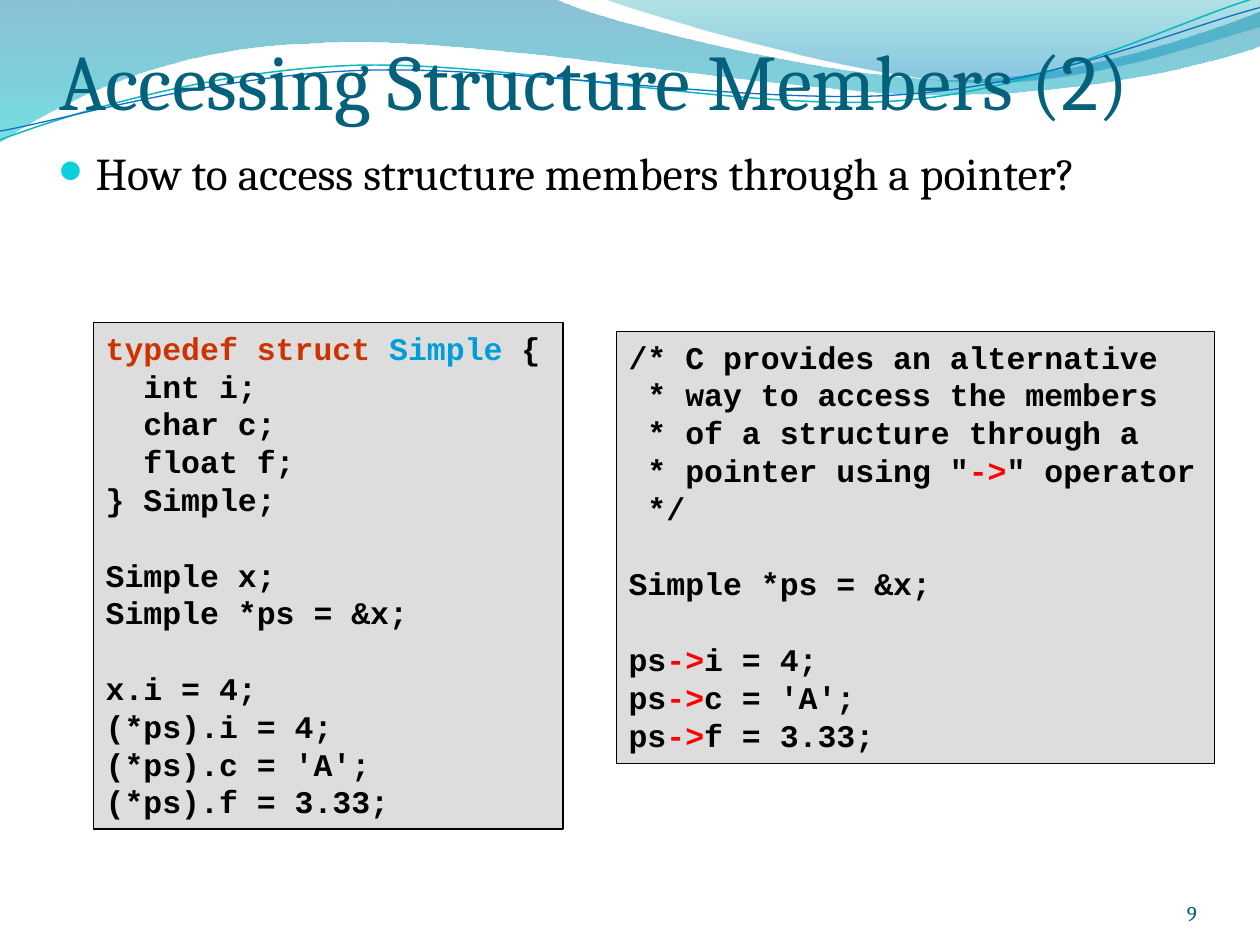
from dataclasses import dataclass
from math import cos, radians, sin

from lxml.etree import SubElement
from pptx import Presentation
from pptx.dml.color import RGBColor
from pptx.enum.shapes import MSO_SHAPE
from pptx.enum.text import MSO_ANCHOR, PP_ALIGN
from pptx.oxml.ns import qn
from pptx.util import Inches, Pt

CELL = Inches(0.1)  # the page is a grid of 100 columns by 75 rows
COLUMNS, ROWS = 100, 75
CODE_SIZE, CODE_LEADING = 18, 21.6
THREAD_TILT = -2.7

COLOURS = {
    "title": "04617B", "number": "045D75", "bullet": "0BD0D9",
    "text": "000000", "panel": "DDDDDD",
    "keyword": "CC3300", "type": "009DD9", "arrow": "FF0000",
    "deep": "0074A1", "cyan": "00C6CF", "teal": "00A1A9", "blue": "008BBF",
    "thread_teal": "0AB8BF", "thread_blue": "0F6FC6",
}


@dataclass
class Box:
    left: float
    top: float
    width: float
    height: float

    def emu(self) -> list[int]:
        return [cells(v) for v in (self.left, self.top, self.width, self.height)]


@dataclass
class Stop:
    colour: str
    position: float
    opacity: int


@dataclass
class Wave:
    """A path: two numbers make a straight step, six make a Bézier curve."""
    start: tuple
    steps: list
    stops: tuple = ()
    line: str = ""
    weight: float = 0
    centre: tuple = (0, 0)
    tilt: float = 0


@dataclass
class CodeLine:
    spans: list  # pairs of text and colour name
    depth: int = 0  # indent in characters
    gap: bool = False  # one free line above


def cells(count: float) -> int:
    return round(count * CELL)


def colour(name: str) -> RGBColor:
    return RGBColor.from_string(COLOURS[name])


def level(point: tuple, wave: Wave) -> tuple:
    """The point as it lies before the wave is tilted, in EMU."""
    angle = radians(-wave.tilt)
    x, y = (value - middle for value, middle in zip(point, wave.centre))
    return (cells(wave.centre[0] + x * cos(angle) - y * sin(angle)),
            cells(wave.centre[1] + x * sin(angle) + y * cos(angle)))


def bend(shape, steps: list) -> None:
    """Turn each three straight steps of a curve into one Bézier step."""
    straight = list(shape._element.spPr.iter(qn("a:lnTo")))
    for step in steps:
        group = [straight.pop(0) for _ in range(len(step) // 2)]
        if len(group) == 3:
            bezier = group[0].makeelement(qn("a:cubicBezTo"))
            group[0].addprevious(bezier)
            for part in group:
                bezier.append(part[0])
                part.getparent().remove(part)


def draw_wave(page, wave: Wave) -> None:
    points = [wave.start]
    for step in wave.steps:
        points += zip(step[::2], step[1::2])
    outline = [level(point, wave) for point in points]
    builder = page.shapes.build_freeform(*outline[0])
    builder.add_line_segments(outline[1:], close=bool(wave.stops))
    shape = builder.convert_to_shape()
    bend(shape, wave.steps)
    shape.rotation = wave.tilt
    shape.shadow.inherit = False
    if wave.stops:
        shape.line.fill.background()
        shape.fill.gradient()
        shape.fill.gradient_angle = 270
        for target, stop in zip(shape.fill.gradient_stops, wave.stops):
            target.color.rgb = colour(stop.colour)
            target.position = stop.position
        tints = shape._element.spPr.iter(qn("a:srgbClr"))
        for tint, stop in zip(tints, wave.stops):
            SubElement(tint, qn("a:alpha"), val=str(stop.opacity * 1000))
    else:
        shape.fill.background()
        shape.line.color.rgb = colour(wave.line)
        shape.line.width = Pt(wave.weight)


def style(span, font: str, size: float, name: str, bold: bool = False) -> None:
    span.font.name, span.font.size, span.font.bold = font, Pt(size), bold
    span.font.color.rgb = colour(name)


def draw_text(page, box: Box, text: str, size: float, name: str, anchor, align=PP_ALIGN.LEFT):
    """One line of Cambria without side insets; returns its paragraph."""
    frame = page.shapes.add_textbox(*box.emu()).text_frame
    frame.word_wrap = True
    frame.vertical_anchor = anchor
    frame.margin_left = frame.margin_right = frame.margin_bottom = 0
    frame.text = text
    para = frame.paragraphs[0]
    para.alignment = align
    style(para.runs[0], "Cambria", size, name)
    return para


def add_bullet(para, indent: float) -> None:
    properties = para._p.get_or_add_pPr()
    properties.set("marL", str(cells(indent)))
    properties.set("indent", str(-cells(indent)))
    tint = SubElement(properties, qn("a:buClr"))
    SubElement(tint, qn("a:srgbClr"), val=COLOURS["bullet"])
    SubElement(properties, qn("a:buSzPct"), val="95000")
    SubElement(properties, qn("a:buFont"), typeface="Courier New")
    SubElement(properties, qn("a:buChar"), char="●")


def draw_code(page, box: Box, lines: list[CodeLine]) -> None:
    panel = page.shapes.add_shape(MSO_SHAPE.RECTANGLE, *box.emu())
    panel.shadow.inherit = False
    panel.fill.solid()
    panel.fill.fore_color.rgb = colour("panel")
    panel.line.color.rgb = colour("text")
    panel.line.width = Pt(0.75)
    frame = panel.text_frame
    frame.word_wrap = True
    frame.vertical_anchor = MSO_ANCHOR.TOP
    for index, line in enumerate(lines):
        para = frame.add_paragraph() if index else frame.paragraphs[0]
        para.alignment = PP_ALIGN.LEFT
        para.line_spacing = Pt(CODE_LEADING)
        para.space_before = Pt(CODE_LEADING if line.gap else 0)
        indent = Pt(0.6 * CODE_SIZE * line.depth)
        para._p.get_or_add_pPr().set("marL", str(indent))
        for text, name in line.spans:
            span = para.add_run()
            span.text = text
            style(span, "Courier New", CODE_SIZE, name, bold=True)


def plain(text: str, depth: int = 0, gap: bool = False) -> CodeLine:
    return CodeLine([(text, "text")], depth, gap)


def arrow(before: str, after: str, gap: bool = False) -> CodeLine:
    return CodeLine([(before, "text"), ("->", "arrow"), (after, "text")], gap=gap)


WAVES = [
    Wave((-0.1, 11.3), [(0, 0), (44, -0.1), (47.6, 1.7, 66.4, 6.3, 75.8, 6.3),
                        (85.3, 6.3, 95.8, 2.6, 100, 0.9), (100.1, 3.6),
                        (98.3, 4.4, 87, 7.6, 74.6, 7.5), (62.2, 7.5, 38.2, 2.8, 25.7, 3.4),
                        (12.9, 3.6, 4.6, 8.3, -0.1, 11.3)],
         stops=(Stop("deep", 0, 45), Stop("cyan", 1, 55))),
    Wave((47.9, -0.1), [(50.9, 1.1, 68.2, 6.2, 76.9, 6.5),
                        (85.6, 6.9, 96.1, 3.2, 100, 2.1), (100, 0)],
         stops=(Stop("teal", 0, 30), Stop("blue", 0.8, 45))),
    Wave((0, 11.1), [(4.8, 9.3, 15.8, 5.7, 27.7, 5.2), (39.5, 4.7, 59.3, 8.9, 71.3, 8),
                     (83.3, 7.1, 93.8, 1.5, 99.8, -0.2)],
         line="thread_teal", weight=0.85, centre=(49.9, 5.75), tilt=THREAD_TILT),
    Wave((0, 10.4), [(4.7, 9.6, 16.4, 6.1, 28.3, 5.6), (40.3, 5.1, 59.7, 8.4, 71.7, 7.5),
                     (83.6, 6.7, 94.1, 2.1, 100, 0.6)],
         line="thread_blue", weight=0.75, centre=(49.95, 5.9), tilt=THREAD_TILT),
]

DOT_CODE = [
    CodeLine([("typedef struct ", "keyword"), ("Simple", "type"), (" {", "text")]),
    *[plain(member, depth=2) for member in ("int i;", "char c;", "float f;")],
    plain("} Simple;"), plain("Simple x;", gap=True), plain("Simple *ps = &x;"),
    plain("x.i = 4;", gap=True),
    *[plain(f"(*ps).{rest}") for rest in ("i = 4;", "c = 'A';", "f = 3.33;")],
]
ARROW_CODE = [
    plain("/* C provides an alternative"), plain(" * way to access the members"),
    plain(" * of a structure through a"), arrow(' * pointer using "', '" operator'),
    plain(" */"), plain("Simple *ps = &x;", gap=True),
    arrow("ps", "i = 4;", gap=True), arrow("ps", "c = 'A';"), arrow("ps", "f = 3.33;"),
]


def main() -> None:
    deck = Presentation()
    deck.slide_width, deck.slide_height = COLUMNS * CELL, ROWS * CELL
    page = deck.slides.add_slide(deck.slide_layouts[6])
    # Waves behind the heading
    for wave in WAVES:
        draw_wave(page, wave)
    # Title, question and page number
    draw_text(page, Box(4.7, 2.4, 92.6, 7.6), "Accessing Structure Members (2)",
              45, "title", MSO_ANCHOR.BOTTOM)
    question = draw_text(page, Box(3.6, 11, 92.1, 10.6),
                         "How to access structure members through a pointer?",
                         26, "text", MSO_ANCHOR.TOP)
    question.space_before = Pt(5.2)
    page.shapes[-1].text_frame.margin_left = CELL
    add_bullet(question, 3)
    draw_text(page, Box(86.7, 69.5, 8.3, 4), "9", 12, "number",
              MSO_ANCHOR.BOTTOM, PP_ALIGN.RIGHT)
    # Code panels
    draw_code(page, Box(7.4, 25.6, 37.3, 40.2), DOT_CODE)
    draw_code(page, Box(48.9, 26.3, 47.5, 34.3), ARROW_CODE)
    deck.save("out.pptx")


if __name__ == "__main__":
    main()
